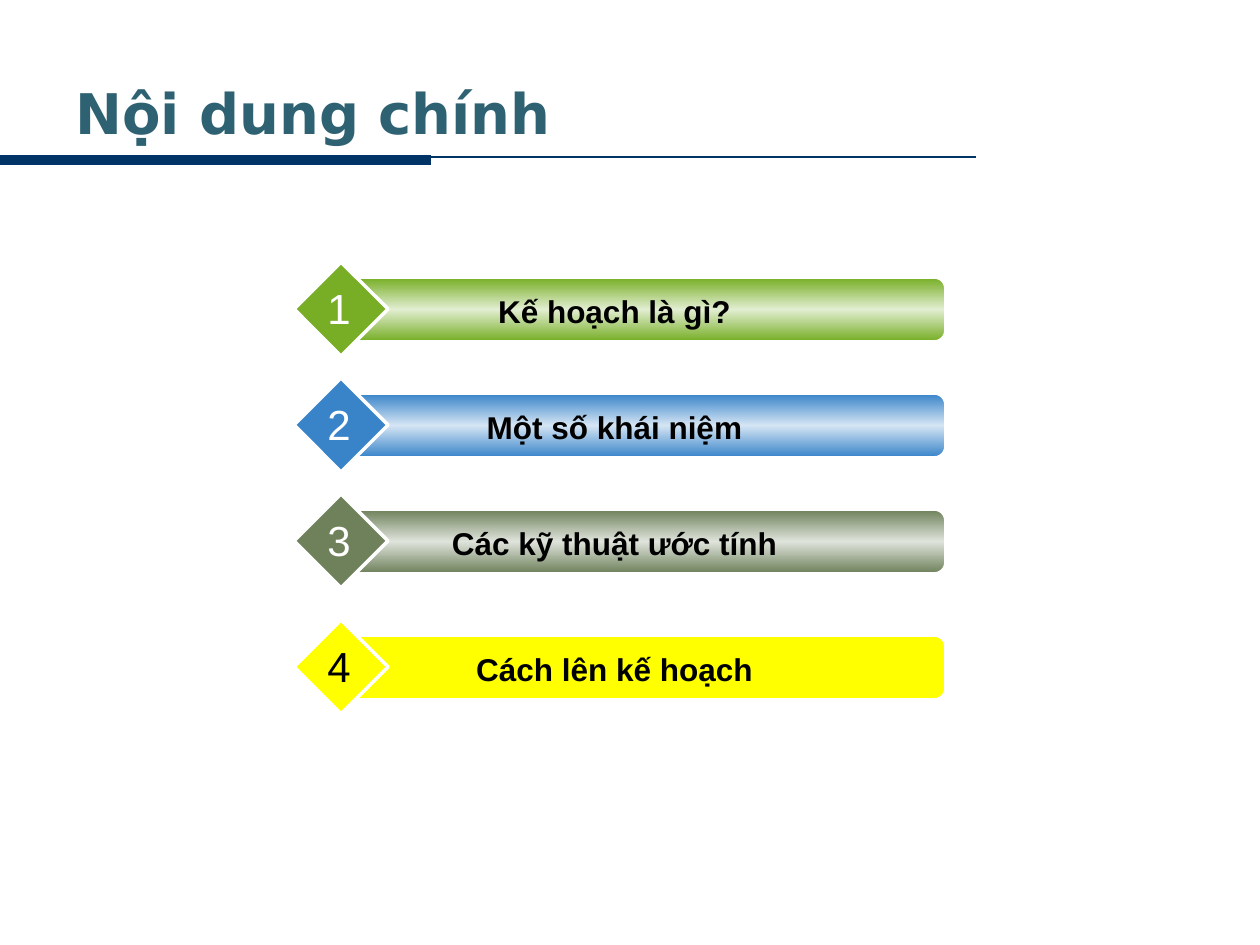
from copy import deepcopy

from lxml import etree
from pptx import Presentation
from pptx.dml.color import RGBColor
from pptx.enum.shapes import MSO_CONNECTOR, MSO_SHAPE
from pptx.enum.text import MSO_ANCHOR, PP_ALIGN
from pptx.oxml.ns import qn
from pptx.util import Emu, Pt

NAVY = RGBColor(0x00, 0x33, 0x66)
TEAL = RGBColor(0x2E, 0x62, 0x72)
GREEN = RGBColor(0x77, 0xAE, 0x26)
PALE_GREEN = RGBColor(0xE2, 0xEE, 0xD1)
BLUE = RGBColor(0x39, 0x84, 0xC9)
PALE_BLUE = RGBColor(0xD5, 0xE5, 0xF4)
OLIVE = RGBColor(0x6E, 0x81, 0x5B)
PALE_OLIVE = RGBColor(0xE0, 0xE4, 0xDC)
YELLOW = RGBColor(0xFF, 0xFF, 0x00)
WHITE = RGBColor(0xFF, 0xFF, 0xFF)
BLACK = RGBColor(0x00, 0x00, 0x00)


def px(*lengths):
    return [Emu(round(length * 914400 / 126)) for length in lengths]


def add_text(shapes, box, text, size, color, font="Arial", bold=False,
             align=PP_ALIGN.CENTER, anchor=MSO_ANCHOR.TOP, wrap=True):
    text_frame = shapes.add_textbox(*px(*box)).text_frame
    text_frame.word_wrap = wrap
    text_frame.vertical_anchor = anchor
    text_frame.text = text
    paragraph = text_frame.paragraphs[0]
    paragraph.alignment = align
    run_font = paragraph.runs[0].font
    run_font.name = font
    run_font.size = Pt(size)
    run_font.bold = bold
    run_font.color.rgb = color


presentation = Presentation()
presentation.slide_width, presentation.slide_height = px(1260, 945)
slide = presentation.slides.add_slide(presentation.slide_layouts[6])

for right, y, weight in [(976, 157, 1.5), (431, 160, 6)]:
    rule = slide.shapes.add_connector(MSO_CONNECTOR.STRAIGHT, *px(0, y, right, y))
    rule.line.color.rgb = NAVY
    rule.line.width = Pt(weight)
    etree.SubElement(rule.element.spPr, qn("a:effectLst"))

add_text(slide.shapes, (63, 73, 1061, 78), "Nội dung chính", 32, TEAL,
         font="DejaVu Sans", bold=True, align=PP_ALIGN.LEFT, anchor=MSO_ANCHOR.MIDDLE)

topics = [
    (262, "Kế hoạch là gì?", GREEN, PALE_GREEN, WHITE),
    (378, "Một số khái niệm", BLUE, PALE_BLUE, WHITE),
    (494, "Các kỹ thuật ước tính", OLIVE, PALE_OLIVE, WHITE),
    (620, "Cách lên kế hoạch", YELLOW, None, BLACK),
]
for number, (top, topic, color, highlight, number_color) in enumerate(topics, 1):
    shapes = slide.shapes.add_group_shape().shapes
    bar = shapes.add_shape(MSO_SHAPE.ROUNDED_RECTANGLE, *px(346, top + 16, 599, 63))
    diamond = shapes.add_shape(MSO_SHAPE.DIAMOND, *px(294, top, 94, 94))
    for shape, weight in [(bar, 1), (diamond, 2)]:
        shape.shadow.inherit = False
        shape.fill.solid()
        shape.fill.fore_color.rgb = color
        shape.line.color.rgb = WHITE
        shape.line.width = Pt(weight)

    if highlight:
        bar.fill.gradient()
        bar.fill.gradient_angle = 270
        stop_list = bar.element.spPr.find(qn("a:gradFill")).find(qn("a:gsLst"))
        stop_list.insert(1, deepcopy(stop_list[0]))
        stops = zip(bar.fill.gradient_stops, (0, 0.5, 1), (color, highlight, color))
        for stop, position, stop_color in stops:
            stop.position = position
            stop.color.rgb = stop_color

    add_text(shapes, (378, top + 24, 473, 50), topic, 18, BLACK, bold=True)
    add_text(shapes, (315, top + 14, 48, 63), str(number), 24, number_color, wrap=False)

presentation.save("out.pptx")
